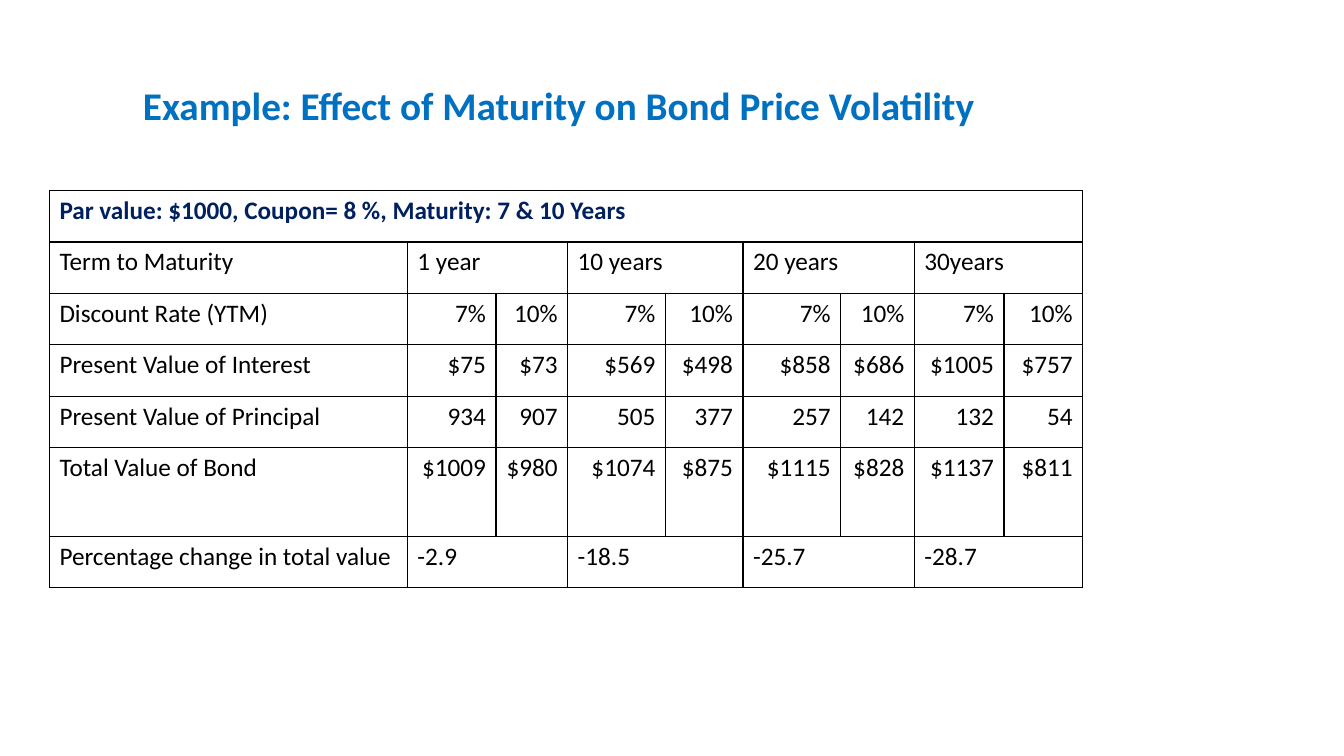
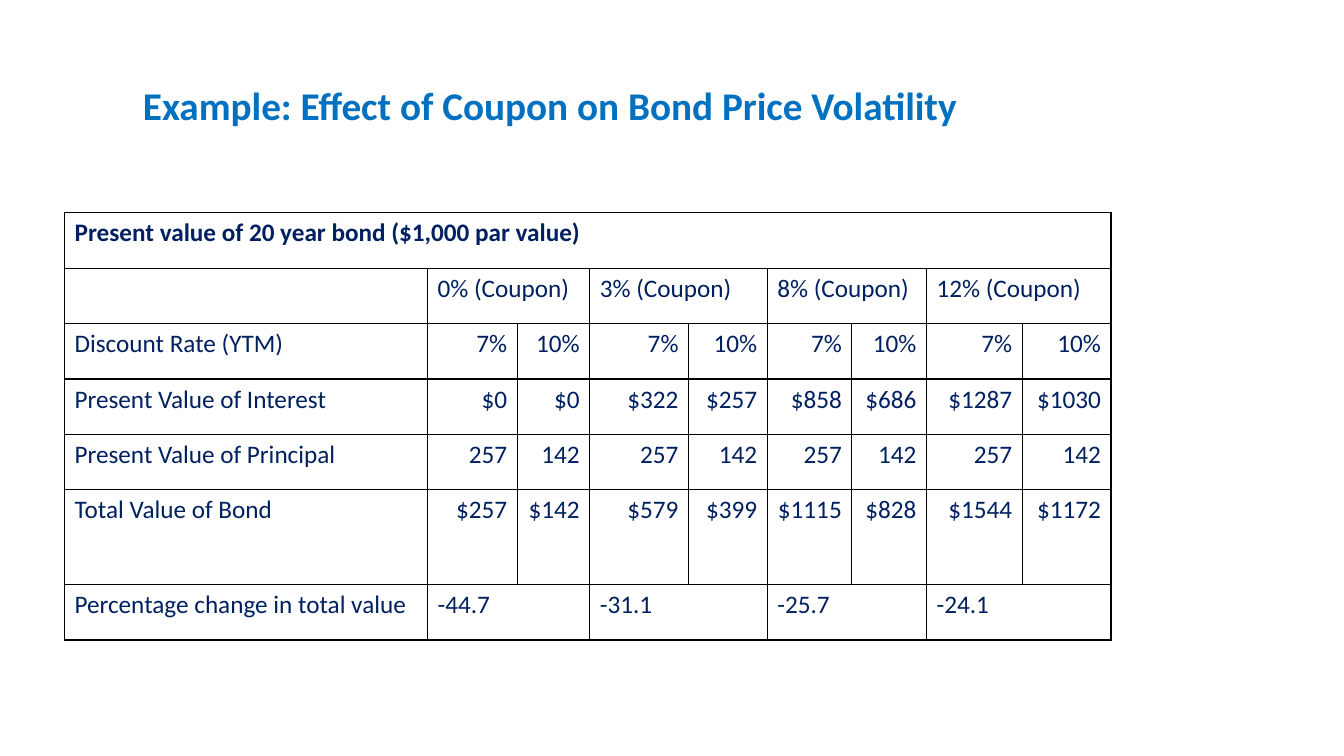
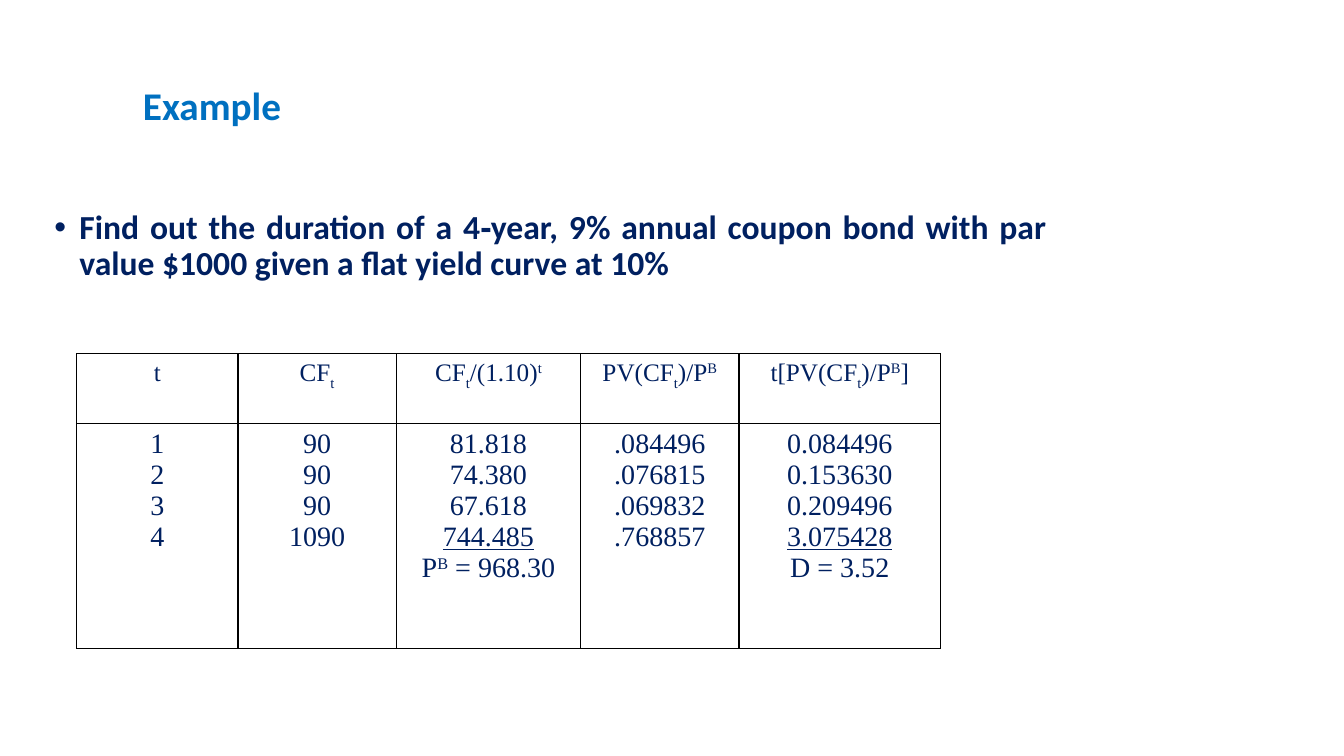
from dataclasses import dataclass
from typing import NamedTuple

from lxml.etree import SubElement
from pptx import Presentation
from pptx.dml.color import RGBColor
from pptx.enum.text import MSO_AUTO_SIZE, PP_ALIGN
from pptx.oxml import parse_xml
from pptx.oxml.ns import nsdecls, qn
from pptx.util import Pt

PX = 9144  # EMU in one px, 100 px to the inch

BLUE = RGBColor(0x00, 0x70, 0xC0)
NAVY = RGBColor(0x00, 0x20, 0x60)
BLACK = RGBColor(0x00, 0x00, 0x00)
SANS = "Calibri"
SERIF = "Times New Roman"


class Box(NamedTuple):
    left: int
    top: int
    width: int
    height: int


class Style(NamedTuple):
    size: int
    color: RGBColor
    bold: bool = False
    face: str = SANS


class Bit(NamedTuple):
    """A piece of a line; base is the shift of the baseline in percent."""
    text: str
    base: int = 0
    under: bool = False


@dataclass
class Bond:
    """A bond table: one title cell, then a label and four pairs per row."""
    title: str
    left: int
    top: int
    cols: list[int]
    rows: list[int]
    head: Style
    body: Style
    data: list[list[str]]


Line = list[Bit]

TITLE = Box(132, 76, 1017, 57)
TITLE_STYLE = Style(28, BLUE, True)
HEAD = Style(18, NAVY, True)
RATES = ["Discount Rate (YTM)"] + ["7%", "10%"] * 4
INTEREST = "Present Value of Interest"
CAPITAL = "Present Value of Principal"
TOTAL = "Total Value of Bond"
CHANGE = "Percentage change in total value"

BONDS = [
    Bond(
        "Example: Effect of Maturity on Bond Price Volatility", 49, 189,
        [355, 88, 71, 97, 77, 97, 73, 89, 78],
        [51, 51, 51, 51, 51, 88, 51],
        HEAD, Style(18, BLACK),
        [
            ["Par value: $1000, Coupon= 8 %, Maturity: 7 & 10 Years"],
            ["Term to Maturity", "1 year", "10 years", "20 years", "30years"],
            RATES,
            [INTEREST, "$75", "$73", "$569", "$498", "$858", "$686", "$1005", "$757"],
            [CAPITAL, "934", "907", "505", "377", "257", "142", "132", "54"],
            [TOTAL, "$1009", "$980", "$1074", "$875", "$1115", "$828", "$1137", "$811"],
            [CHANGE, "-2.9", "-18.5", "-25.7", "-28.7"],
        ],
    ),
    Bond(
        "Example: Effect of Coupon on Bond Price Volatility", 64, 211,
        [360, 89, 72, 98, 78, 84, 74, 95, 88],
        [55, 55, 55, 55, 55, 94, 55],
        HEAD, Style(18, NAVY),
        [
            ["Present value of 20 year bond ($1,000 par value)"],
            ["", "0% (Coupon)", "3% (Coupon)", "8% (Coupon)", "12% (Coupon)"],
            RATES,
            [INTEREST, "$0", "$0", "$322", "$257", "$858", "$686", "$1287", "$1030"],
            [CAPITAL] + ["257", "142"] * 4,
            [TOTAL, "$257", "$142", "$579", "$399", "$1115", "$828", "$1544", "$1172"],
            [CHANGE, "-44.7", "-31.1", "-25.7", "-24.1"],
        ],
    ),
]

TASK = ("Find out the duration of a 4‑year, 9% annual coupon bond with par "
        "value $1000 given a flat yield curve at 10%")
SUB_T = Bit("t", -30)
SUP_T = Bit("t", 30)
SUP_B = Bit("B", 30)
FLOW_HEAD: list[Line] = [
    [Bit("t")],
    [Bit("CF"), SUB_T],
    [Bit("CF"), SUB_T, Bit("/(1.10)"), SUP_T],
    [Bit("PV(CF"), SUB_T, Bit(")/P"), SUP_B],
    [Bit("t[PV(CF"), SUB_T, Bit(")/P"), SUP_B, Bit("]")],
]
FLOWS: list[list[Line]] = [
    [[Bit(text)] for text in ("1", "2", "3", "4")],
    [[Bit(text)] for text in ("90", "90", "90", "1090")],
    [[Bit("81.818")], [Bit("74.380")], [Bit("67.618")],
     [Bit("744.485", under=True)], [Bit("P"), SUP_B, Bit(" = 968.30")]],
    [[Bit(text)] for text in (".084496", ".076815", ".069832", ".768857")],
    [[Bit("0.084496")], [Bit("0.153630")], [Bit("0.209496")],
     [Bit("3.075428", under=True)], [Bit("D = 3.52")]],
]


def set_font(para, style: Style) -> None:
    font = para.font
    font.name, font.size, font.bold = style.face, Pt(style.size), style.bold
    font.color.rgb = style.color


def add_text(slide, box: Box, text: str, style: Style):
    """Add a wrapped text box and return its frame."""
    frame = slide.shapes.add_textbox(*(n * PX for n in box)).text_frame
    frame.word_wrap = True
    frame.text = text
    set_font(frame.paragraphs[0], style)
    return frame


def add_title(slide, text: str) -> None:
    frame = add_text(slide, TITLE, text, TITLE_STYLE)
    frame.auto_size = MSO_AUTO_SIZE.SHAPE_TO_FIT_TEXT


def add_grid(slide, left: int, top: int, cols: list[int], rows: list[int]):
    """Add a table with clear cells and thin black borders."""
    table = slide.shapes.add_table(
        len(rows), len(cols), left * PX, top * PX, sum(cols) * PX, sum(rows) * PX
    ).table
    table.first_row = table.horz_banding = False
    for col, width in zip(table.columns, cols):
        col.width = width * PX
    for row, height in zip(table.rows, rows):
        row.height = height * PX
    for cell in table.iter_cells():
        cell.fill.background()
        props = cell._tc.get_or_add_tcPr()
        for i, side in enumerate("LRTB"):
            props.insert(i, parse_xml(
                f'<a:ln{side} {nsdecls("a")} w="{Pt(0.96)}"><a:solidFill>'
                f'<a:srgbClr val="{BLACK}"/></a:solidFill></a:ln{side}>'))
    return table


def fill_cell(cell, lines: list[Line], style: Style, align: PP_ALIGN) -> None:
    frame = cell.text_frame
    for i, line in enumerate(lines):
        para = frame.add_paragraph() if i else frame.paragraphs[0]
        para.alignment = align
        set_font(para, style)
        for bit in line:
            run = para.add_run()
            run.text = bit.text
            if bit.under:
                run.font.underline = True
            if bit.base:
                run._r.get_or_add_rPr().set("baseline", str(bit.base * 1000))


def add_bond(slide, bond: Bond) -> None:
    add_title(slide, bond.title)
    table = add_grid(slide, bond.left, bond.top, bond.cols, bond.rows)
    last = len(bond.cols) - 1
    for y, row in enumerate(bond.data):
        if len(row) == 1:
            table.cell(y, 0).merge(table.cell(y, last))
            fill_cell(table.cell(y, 0), [[Bit(row[0])]], bond.head, PP_ALIGN.LEFT)
            continue
        span = last // (len(row) - 1)
        for i, text in enumerate(row):
            x = 1 + (i - 1) * span if i else 0
            cell = table.cell(y, x)
            if i and span > 1:
                cell.merge(table.cell(y, x + span - 1))
            align = PP_ALIGN.RIGHT if i and span == 1 else PP_ALIGN.LEFT
            fill_cell(cell, [[Bit(text)]] if text else [[]], bond.body, align)


def add_task(slide) -> None:
    """Add the bulleted question."""
    style = Style(24, NAVY, True)
    frame = add_text(slide, Box(44, 204, 1004, 356), TASK, style)
    para = frame.paragraphs[0]
    para.alignment = PP_ALIGN.JUSTIFY
    para.line_spacing = 0.9
    props = para._p.get_or_add_pPr()
    props.set("marL", str(25 * PX))
    props.set("indent", str(-25 * PX))
    font = props.find(qn("a:defRPr"))
    color = SubElement(props, qn("a:buClr"))
    SubElement(color, qn("a:srgbClr")).set("val", str(NAVY))
    SubElement(props, qn("a:buFont")).set("typeface", "Arial")
    SubElement(props, qn("a:buChar")).set("char", "•")
    props.append(font)


def add_flows(slide) -> None:
    """Add the table that works out the duration."""
    table = add_grid(slide, 76, 351, [160, 157, 183, 157, 200], [69, 223])
    head, body = (Style(size, NAVY, face=SERIF) for size in (18, 20))
    for x, (name, lines) in enumerate(zip(FLOW_HEAD, FLOWS)):
        fill_cell(table.cell(0, x), [name], head, PP_ALIGN.CENTER)
        fill_cell(table.cell(1, x), lines, body, PP_ALIGN.CENTER)


def main() -> None:
    deck = Presentation()
    deck.slide_width, deck.slide_height = 1333 * PX, 750 * PX
    blank = deck.slide_layouts[6]
    for bond in BONDS:
        add_bond(deck.slides.add_slide(blank), bond)
    slide = deck.slides.add_slide(blank)
    add_task(slide)
    add_flows(slide)
    add_title(slide, "Example")
    deck.save("out.pptx")


if __name__ == "__main__":
    main()
